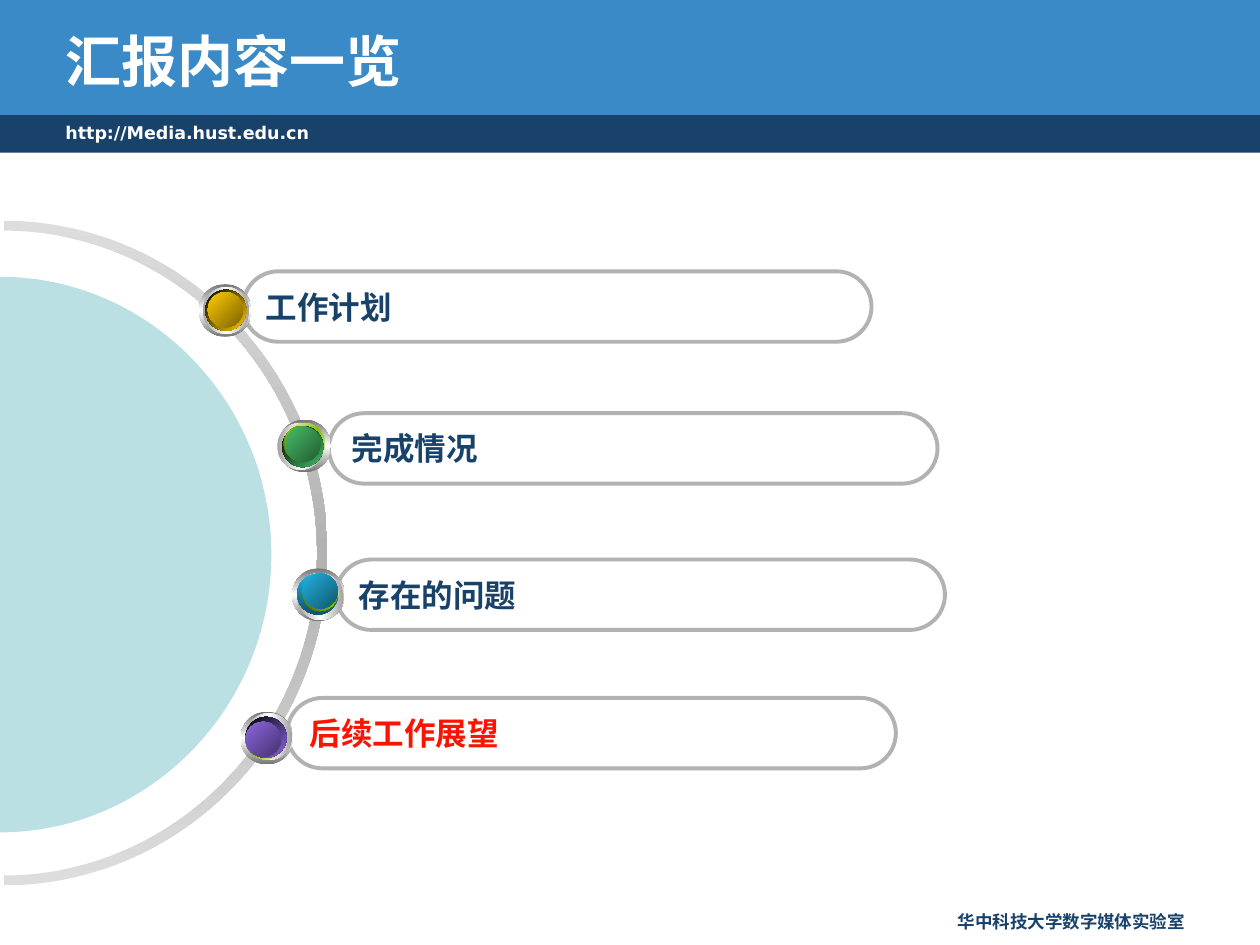
"""Build the agenda slide with a half ring, four beads and four labels."""
from copy import deepcopy

from pptx import Presentation
from pptx.dml.color import RGBColor
from pptx.enum.shapes import MSO_SHAPE
from pptx.enum.text import MSO_ANCHOR, PP_ALIGN
from pptx.oxml.ns import qn
from pptx.util import Cm, Pt

WHITE = RGBColor(0xFF, 0xFF, 0xFF)
BLACK = RGBColor(0x00, 0x00, 0x00)
NAVY = RGBColor(0x19, 0x42, 0x6B)
BLUE = RGBColor(0x39, 0x8A, 0xC7)
PALE_TEAL = RGBColor(0xBB, 0xE0, 0xE3)
RED = RGBColor(0xFD, 0x13, 0x01)
LIGHT_GRAY = RGBColor(0xDD, 0xDD, 0xDD)
GRAY = RGBColor(0xB2, 0xB2, 0xB2)
STEEL = RGBColor(0x76, 0x76, 0x76)
SILVER = RGBColor(0xA2, 0xA2, 0xA2)
LIME = RGBColor(0x8B, 0xBC, 0x00)
OLIVE = RGBColor(0x4B, 0x65, 0x00)
GOLD = RGBColor(0xFF, 0xCC, 0x00)
DARK_GOLD = RGBColor(0x7C, 0x63, 0x00)
GREEN = RGBColor(0x48, 0xBE, 0x67)
DARK_GREEN = RGBColor(0x23, 0x5C, 0x32)
CYAN = RGBColor(0x21, 0xB3, 0xE1)
DEEP_CYAN = RGBColor(0x0F, 0x53, 0x68)
DARK_CYAN = RGBColor(0x10, 0x57, 0x6D)
PURPLE = RGBColor(0x8D, 0x67, 0xE1)
DARK_PURPLE = RGBColor(0x45, 0x32, 0x6D)
CJK = "Noto Sans CJK SC"
LATIN = "DejaVu Sans"


def paint(sp, colors, angle=0):
    """Fill with one colour or an even gradient, without line or shadow."""
    sp.shadow.inherit = False
    sp.line.fill.background()
    if len(colors) == 1:
        sp.fill.solid()
        sp.fill.fore_color.rgb = colors[0]
        return
    sp.fill.gradient()
    sp.fill.gradient_angle = -angle % 360
    stops = sp.element.spPr.find(".//" + qn("a:gsLst"))
    if len(colors) == 3:
        stops.insert(1, deepcopy(stops[0]))
    for i, (stop, color) in enumerate(zip(sp.fill.gradient_stops, colors)):
        stop.position = i / (len(colors) - 1)
        stop.color.rgb = color


def write(tf, text, size, color, font=CJK, align=PP_ALIGN.LEFT, anchor=MSO_ANCHOR.MIDDLE):
    """Put one bold run into a text frame."""
    tf.word_wrap = True
    tf.vertical_anchor = anchor
    p = tf.paragraphs[0]
    p.alignment = align
    r = p.add_run()
    r.text = text
    r.font.size = Pt(size)
    r.font.bold = True
    r.font.color.rgb = color
    r.font.name = font
    ea = r.font._element.makeelement(qn("a:ea"), {"typeface": font})
    r.font._element.find(qn("a:latin")).addnext(ea)


prs = Presentation()
prs.slide_width, prs.slide_height = Cm(25.4), Cm(19.05)
s = prs.slides.add_slide(prs.slide_layouts[5])
shapes = s.shapes

for top, height, color in [(2.21, 0.87, NAVY), (0, 2.32, BLUE)]:
    band = shapes.add_shape(MSO_SHAPE.RECTANGLE, 0, Cm(top), prs.slide_width, Cm(height))
    paint(band, [color])

captions = [
    (1.07, 2.34, 16.51, 0.71, "http://Media.hust.edu.cn", WHITE, LATIN, PP_ALIGN.LEFT),
    (17.58, 18.24, 6.55, 0.69, "华中科技大学数字媒体实验室", NAVY, CJK, PP_ALIGN.RIGHT),
]
for left, top, width, height, text, color, font, align in captions:
    box = shapes.add_textbox(Cm(left), Cm(top), Cm(width), Cm(height))
    write(box.text_frame, text, 10, color, font, align, MSO_ANCHOR.TOP)

K = 0.55
half_circle = [(-1, 0), (-1, -K), (-K, -1), (0, -1), (K, -1), (1, -K), (1, 0)]
arcs = [
    ((-6.73, 4.52, 13.4, 13.26), (6.7, 6.53), [(6.7, 6.53), (6.5, 6.32)],
     [LIGHT_GRAY, GRAY, LIGHT_GRAY]),
    ((-5.59, 5.72, 11.2, 10.92), (5.6, 5.47), [(5.6, 5.47)], [PALE_TEAL]),
]
for (left, top, width, height), (cx, cy), radii, colors in arcs:
    points = []
    for i, (rx, ry) in enumerate(radii):
        curve = [(Cm(cx + rx * x), Cm(cy + ry * y)) for x, y in half_circle]
        points += curve[::-1] if i else curve
    builder = shapes.build_freeform(*points[0])
    builder.add_line_segments(points[1:], close=True)
    sp = builder.convert_to_shape()
    outline = sp.element.spPr.find(".//" + qn("a:path"))
    outline.set("h", str(Cm(height)))
    segments = outline.findall(qn("a:lnTo"))
    for first in (0, 3, 7, 10)[:2 * len(radii)]:
        bezier = outline.makeelement(qn("a:cubicBezTo"), {})
        segments[first].addprevious(bezier)
        for segment in segments[first:first + 3]:
            bezier.append(segment[0])
            outline.remove(segment)
    sp.left, sp.top, sp.width, sp.height = Cm(left), Cm(top), Cm(width), Cm(height)
    sp.rotation = 90
    paint(sp, colors)

items = [
    ("工作计划", NAVY, (4.9, 5.47, 12.67), (BLACK, GOLD, 45), (GOLD, DARK_GOLD),
     [(4.01, 5.73), (4.09, 5.79), (4.14, 5.84), (4.14, 5.84), (4.19, 5.89), (4.19, 5.89)]),
    ("完成情况", NAVY, (6.63, 8.33, 12.27), (BLACK, GREEN, 45), (GREEN, DARK_GREEN),
     [(5.61, 8.46), (5.59, 8.53), (5.72, 8.53), (5.69, 8.59), (5.72, 8.59), (5.75, 8.6)]),
    ("存在的问题", NAVY, (6.78, 11.28, 12.27), (CYAN, DEEP_CYAN, 90), (CYAN, DARK_CYAN),
     [(5.89, 11.46), (5.99, 11.56), (5.99, 11.56), (5.99, 11.56), (6.1, 11.61), (6.1, 11.56)]),
    ("后续工作展望", RED, (5.79, 14.07, 12.27), (BLACK, PURPLE, 45), (PURPLE, DARK_PURPLE),
     [(4.85, 14.35), (4.95, 14.38), (4.95, 14.48), (4.95, 14.45), (4.95, 14.55), (4.95, 14.55)]),
]
for text, color, (left, top, width), (rim_from, rim_to, rim_angle), core, corners in items:
    pill = shapes.add_shape(MSO_SHAPE.ROUNDED_RECTANGLE, Cm(left), Cm(top), Cm(width), Cm(1.42))
    pill.adjustments[0] = 0.5
    pill.shadow.inherit = False
    pill.fill.background()
    pill.line.color.rgb = GRAY
    pill.line.width = Pt(2.25)
    write(pill.text_frame, text, 18, color)
    layers = [
        (1.06, [STEEL, WHITE, STEEL], 90),
        (0.94, [SILVER, WHITE, SILVER], 0),
        (0.83, [WHITE, LIME, WHITE], 45),
        (0.83, [rim_from, rim_to], rim_angle),
        (0.71, [OLIVE, LIME, OLIVE], 315),
        (0.71, core, 45),
    ]
    for (x, y), (size, colors, angle) in zip(corners, layers):
        bead = shapes.add_shape(MSO_SHAPE.OVAL, Cm(x), Cm(y), Cm(size), Cm(size))
        paint(bead, colors, angle)

title = shapes.title
title.left, title.top, title.width, title.height = Cm(1.07), Cm(0.43), Cm(20.52), Cm(1.57)
write(title.text_frame, "汇报内容一览", 32, WHITE)
shapes.element.append(title.element)

prs.save("out.pptx")
